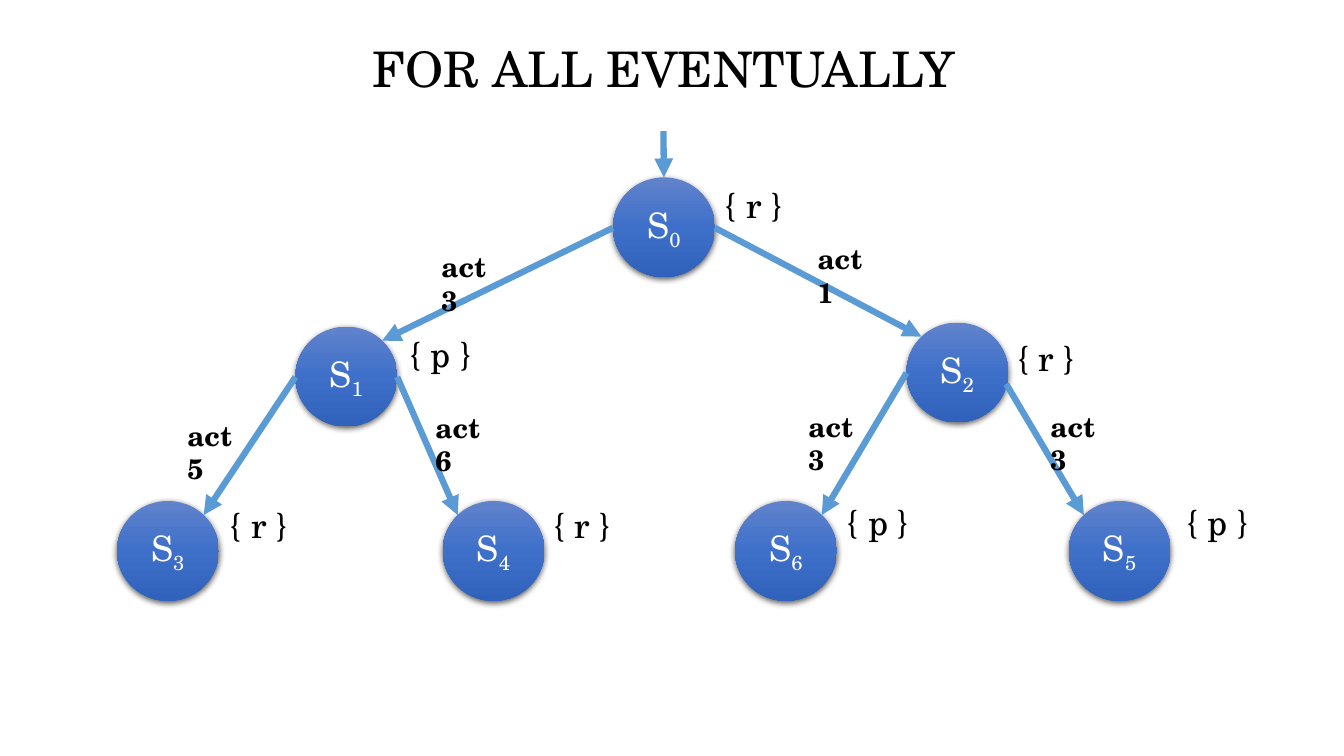
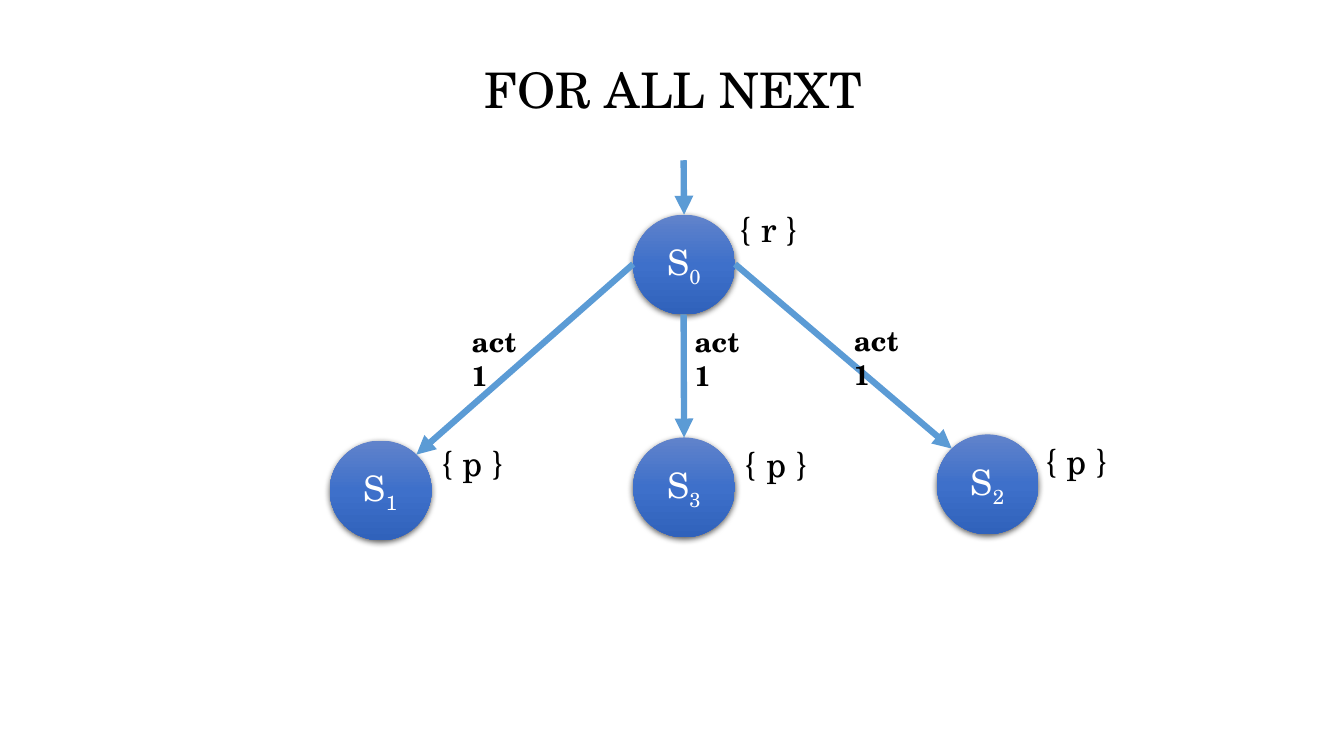
from copy import deepcopy
from dataclasses import dataclass
from math import cos, radians, sin

from lxml.etree import SubElement
from pptx import Presentation
from pptx.dml.color import RGBColor as Rgb
from pptx.enum.shapes import MSO_CONNECTOR as Link, MSO_SHAPE as Preset
from pptx.enum.text import MSO_ANCHOR as Anchor, MSO_AUTO_SIZE as Fit, PP_ALIGN as Align
from pptx.oxml.ns import qn
from pptx.util import Pt

PX = 9144
NODE_W, NODE_H = 101, 99
RIGHT, TOP_RIGHT, TOP_LEFT, LEFT, BOTTOM = 0, 45, 135, 180, 270


@dataclass(frozen=True)
class Theme:
    font: str = "TeX Gyre Schola"
    ink: str = "000000"
    node_ink: str = "FFFFFF"
    node_stops: tuple = ((0, "6183CB"), (0.5, "3E70CA"), (1, "3062BB"))
    edge: str = "5B9BD5"
    edge_width: float = 4.5
    title_size: int = 35
    node_size: int = 25
    label_size: int = 20


@dataclass(frozen=True)
class Node:
    left: int
    top: int
    prop: str
    prop_left: int
    prop_top: int
    prop_align: Align = Align.LEFT

    def rim(self, angle):
        turn = radians(angle)
        return (round(self.left + NODE_W / 2 * (1 + cos(turn))),
                round(self.top + NODE_H / 2 * (1 - sin(turn))))


def assign(target, values):
    for name, value in values.items():
        setattr(target, name, value)


def scaled(*lengths):
    return [length * PX for length in lengths]


class TreeDeck:
    def __init__(self, theme):
        self.theme = theme
        self.deck = Presentation()
        assign(self.deck, {"slide_width": 1333 * PX, "slide_height": 750 * PX})
        self.page = None

    def add_page(self):
        self.page = self.deck.slides.add_slide(self.deck.slide_layouts[6])

    def span(self, para, text, size, color, bold=False):
        span = para.add_run()
        span.text = text
        assign(span.font, {"name": self.theme.font, "size": Pt(size), "bold": bold})
        span.font.color.rgb = Rgb.from_string(color)
        return span

    def text(self, words, place, size, bold=False, align=Align.LEFT):
        box = self.page.shapes.add_textbox(*scaled(*place))
        assign(box.text_frame, {"word_wrap": True, "auto_size": Fit.SHAPE_TO_FIT_TEXT})
        para = box.text_frame.paragraphs[0]
        para.alignment = align
        self.span(para, words, size, self.theme.ink, bold)

    def title(self, words, left, top, width):
        self.text(words, (left, top, width, 69), self.theme.title_size, align=Align.CENTER)

    def label(self, words, left, top):
        self.text(words, (left, top, 72, 44), self.theme.label_size, bold=True)

    def node(self, number, node):
        theme = self.theme
        shape = self.page.shapes.add_shape(
            Preset.OVAL, *scaled(node.left, node.top, NODE_W, NODE_H))
        self.paint(shape)
        shape.text_frame.vertical_anchor = Anchor.MIDDLE
        para = shape.text_frame.paragraphs[0]
        para.alignment = Align.CENTER
        self.span(para, "S", theme.node_size, theme.node_ink)
        index = self.span(para, str(number), theme.node_size, theme.node_ink)
        index._r.get_or_add_rPr().set("baseline", "-25000")
        width = 92 if node.prop == "r" else 98
        self.text(f"{{ {node.prop} }}", (node.prop_left, node.prop_top, width, 52),
                  theme.node_size, align=node.prop_align)
        return shape

    def paint(self, shape):
        shape.line.fill.background()
        shape.fill.gradient()
        shape.fill.gradient_angle = 270
        properties = shape._element.spPr
        stop_list = properties.find(".//" + qn("a:gsLst"))
        stop_list.append(deepcopy(stop_list[0]))
        for stop, (position, color) in zip(shape.fill.gradient_stops, self.theme.node_stops):
            stop.position = position
            stop.color.rgb = Rgb.from_string(color)
        effects = SubElement(properties, qn("a:effectLst"))
        shadow = SubElement(effects, qn("a:outerShdw"), blurRad="57150", dist="19050",
                            dir="5400000", algn="ctr", rotWithShape="0")
        black = SubElement(shadow, qn("a:srgbClr"), val="000000")
        SubElement(black, qn("a:alpha"), val="63000")

    def arrow(self, start, end):
        line = self.page.shapes.add_connector(Link.STRAIGHT, *scaled(*start, *end))
        line.line.color.rgb = Rgb.from_string(self.theme.edge)
        line.line.width = Pt(self.theme.edge_width)
        SubElement(line.line._get_or_add_ln(), qn("a:tailEnd"), type="triangle")
        SubElement(line._element.spPr, qn("a:effectLst"))
        return line

    def tree(self, nodes, edges, labels, entry):
        shapes = {number: self.node(number, node) for number, node in nodes.items()}
        self.arrow(entry, nodes[0].rim(90)).end_connect(shapes[0], 0)
        for source, exit_angle, target, entry_angle in edges:
            line = self.arrow(nodes[source].rim(exit_angle), nodes[target].rim(entry_angle))
            if exit_angle == BOTTOM:
                line.end_connect(shapes[target], 0)
        for label in labels:
            self.label(*label)


def eventually(tree_deck):
    tree_deck.add_page()
    tree_deck.title("FOR ALL EVENTUALLY", 356, 33, 605)
    nodes = {
        0: Node(608, 176, "r", 709, 177),
        1: Node(293, 324, "p", 396, 325),
        2: Node(899, 320, "r", 999, 329),
        3: Node(116, 497, "r", 218, 495),
        4: Node(439, 497, "r", 539, 495),
        5: Node(1060, 497, "p", 1159, 492, Align.CENTER),
        6: Node(729, 497, "p", 830, 492),
    }
    edges = [
        (0, LEFT, 1, TOP_RIGHT), (0, RIGHT, 2, TOP_LEFT),
        (1, LEFT, 3, TOP_RIGHT), (1, RIGHT, 4, TOP_LEFT),
        (2, LEFT, 6, TOP_RIGHT), (2, -14, 5, TOP_LEFT),
    ]
    labels = [
        ("act3", 428, 243), ("act1", 801, 235), ("act5", 176, 410),
        ("act6", 422, 402), ("act3", 792, 401), ("act3", 1032, 401),
    ]
    tree_deck.tree(nodes, edges, labels, entry=(658, 130))


def following(tree_deck):
    tree_deck.add_page()
    tree_deck.title("FOR ALL NEXT", 468, 54, 400)
    nodes = {
        0: Node(628, 213, "r", 724, 201),
        1: Node(327, 437, "p", 428, 433),
        2: Node(929, 431, "p", 1027, 431),
        3: Node(628, 434, "p", 729, 434),
    }
    edges = [(0, LEFT, 1, TOP_RIGHT), (0, RIGHT, 2, TOP_LEFT), (0, BOTTOM, 3, 90)]
    labels = [("act1", 458, 317), ("act1", 837, 316), ("act1", 679, 317)]
    tree_deck.tree(nodes, edges, labels, entry=(678, 159))


def main():
    tree_deck = TreeDeck(Theme())
    eventually(tree_deck)
    following(tree_deck)
    tree_deck.deck.save("out.pptx")


if __name__ == "__main__":
    main()
